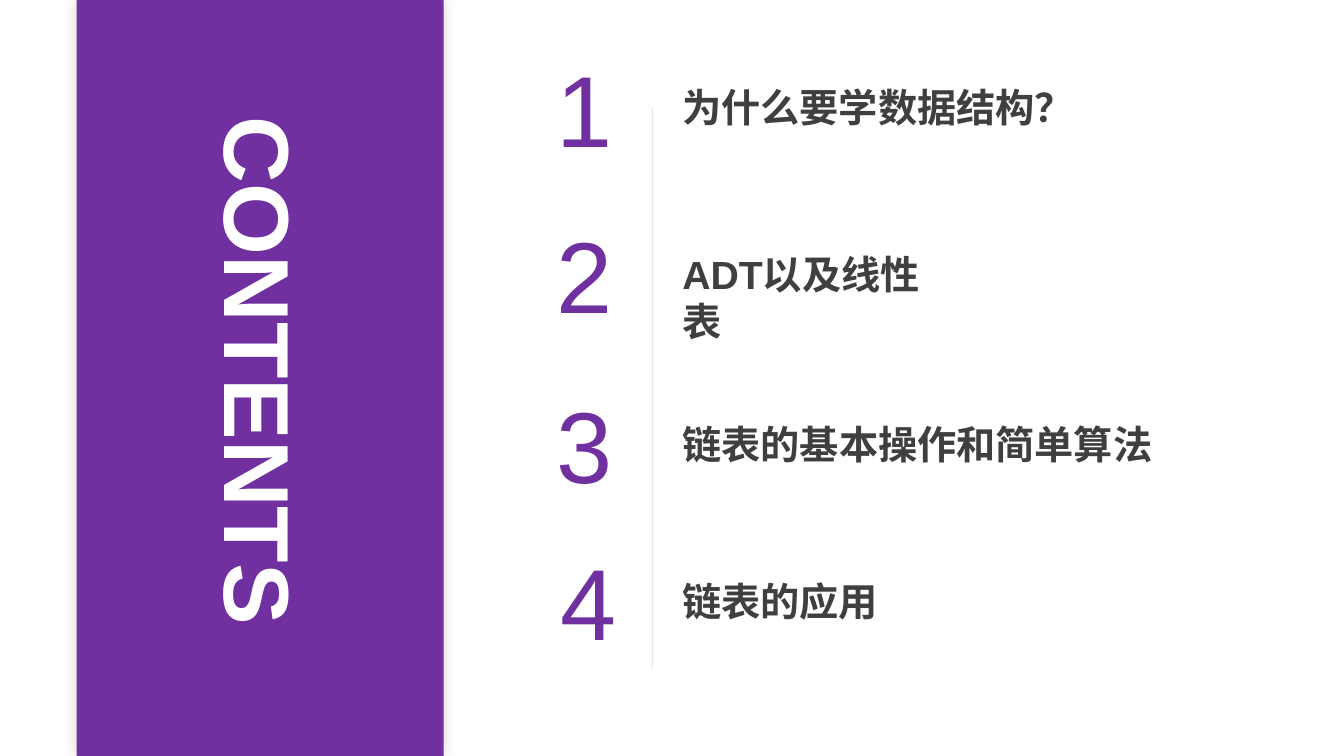
from dataclasses import dataclass
from lxml import etree
from pptx import Presentation
from pptx import util as u
from pptx.dml.color import RGBColor
from pptx.enum import shapes, text
from pptx.oxml import ns

TITLE = "CONTENTS"
ITEMS = [
    ("为什么要学数据结构？", 0.41, 4.13, 0.75),
    ("ADT以及线性表", 2.06, 2.88, 0.75),
    ("链表的基本操作和简单算法", 3.75, 4.91, 0.75),
    ("链表的应用", 5.31, 2.17, 0.68),
]


@dataclass
class Theme:
    font: str = "Arial"
    main: str = "7030A0"
    ink: str = "3F403E"
    gray: str = "969F98"
    white: str = "FFFFFF"
    title: int = 66
    digit: int = 72
    label: int = 28


T = Theme()
MID = 5.8
DROP = 0.37


def sub(node, tag, **atts):
    return etree.SubElement(node, ns.qn(tag), {k: str(v) for k, v in atts.items()})


def rgb(code):
    return RGBColor.from_string(code)


def write(words, at, size, color, bold=False, center=False):
    box = slide.shapes.add_textbox(*map(u.Inches, at))
    frame = box.text_frame
    frame.word_wrap = True
    frame.auto_size = text.MSO_AUTO_SIZE.SHAPE_TO_FIT_TEXT
    para = frame.paragraphs[0]
    para.alignment = text.PP_ALIGN.CENTER if center else text.PP_ALIGN.LEFT
    run = para.add_run()
    run.text = words
    font = run.font
    font.name, font.size, font.bold = T.font, u.Pt(size), bold
    font.color.rgb = rgb(color)
    sub(run._r.get_or_add_rPr(), "a:ea", typeface=T.font)
    return box, run


deck = Presentation()
deck.slide_width, deck.slide_height = u.Inches(13.33), u.Inches(7.5)
slide = deck.slides.add_slide(deck.slide_layouts[6])

rule = slide.shapes.add_connector(
    shapes.MSO_CONNECTOR.STRAIGHT, *map(u.Inches, (6.47, 1.06, 6.47, 6.62)))
rule.line.width = u.Pt(0.5)
rule.line.color.rgb = rgb(T.gray)
tint = rule.line._ln.find(".//" + ns.qn("a:srgbClr"))
sub(tint, "a:alpha", val=40000)
sub(rule._element.spPr, "a:effectLst")

for num, (label, top, wide, slot) in enumerate(ITEMS, 1):
    write(label, (6.67, top + DROP, wide, 0.57), T.label, T.ink, bold=True)
    box, run = write(str(num), (MID - slot / 2, top, slot, 1.31),
                     T.digit, T.main, center=True)
    run._r.get_or_add_rPr().set("spc", "-300")

band = slide.shapes.add_shape(
    shapes.MSO_SHAPE.RECTANGLE, *map(u.Inches, (0.76, 0, 3.64, 7.5)))
band.fill.solid()
band.fill.fore_color.rgb = rgb(T.main)
band.line.fill.background()
band.shadow.inherit = False
glow = sub(band._element.spPr.find(ns.qn("a:effectLst")), "a:outerShdw",
           blurRad=u.Pt(10), dist=0, dir=0, algn="ctr", rotWithShape=0)
sub(sub(glow, "a:srgbClr", val=T.gray), "a:alpha", val=40000)

head, run = write(TITLE, (-0.11, 3.15, 5.39, 1.21), T.title, T.white, bold=True)
head.rotation = 90

deck.save("out.pptx")
